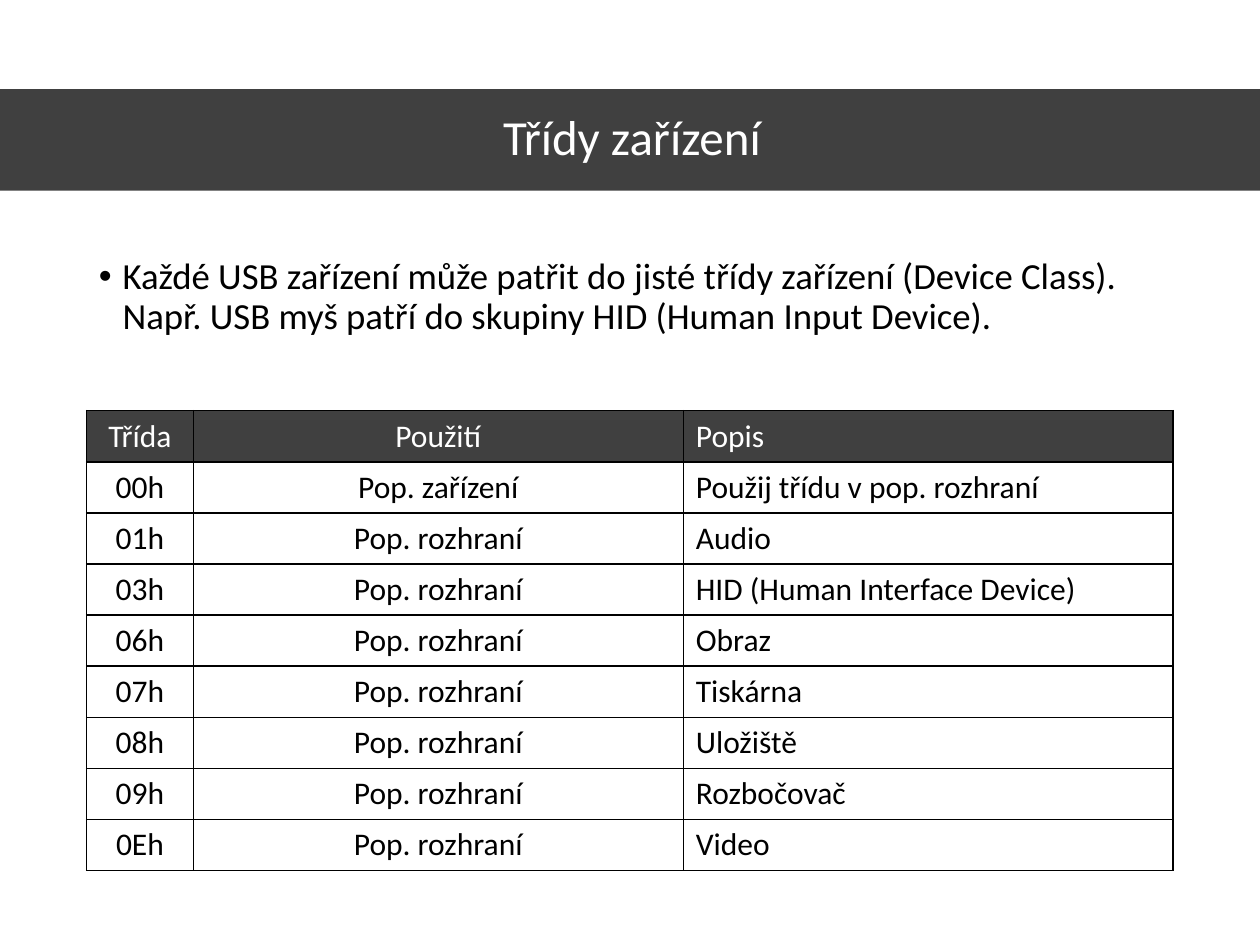
import dataclasses

import lxml.etree
import pptx
import pptx.dml.color
import pptx.enum.shapes
import pptx.enum.text
import pptx.oxml.ns
import pptx.util

Pt = pptx.util.Pt
RGB = pptx.dml.color.RGBColor
Align = pptx.enum.text.PP_ALIGN
Anchor = pptx.enum.text.MSO_ANCHOR
qn = pptx.oxml.ns.qn


@dataclasses.dataclass(frozen=True)
class Theme:
    font: str = "Calibri"
    ink: str = "000000"
    paper: str = "FFFFFF"
    header: str = "404040"
    band_alpha: int = 75
    title_size: float = 28
    body_size: float = 21
    table_size: float = 18
    border: float = 1


THEME = Theme()
TITLE = "Třídy zařízení "
STATEMENT = ("Každé USB zařízení může patřit do jisté třídy zařízení (Device Class). "
             "Např. USB myš patří do skupiny HID (Human Input Device).")
INTERFACE = "Pop. rozhraní"
CLASSES = [
    ("Třída", "Použití", "Popis"),
    ("00h", "Pop. zařízení", "Použij třídu v pop. rozhraní"),
    ("01h", INTERFACE, "Audio"),
    ("03h", INTERFACE, "HID (Human Interface Device)"),
    ("06h", INTERFACE, "Obraz"),
    ("07h", INTERFACE, "Tiskárna"),
    ("08h", INTERFACE, "Uložiště"),
    ("09h", INTERFACE, "Rozbočovač"),
    ("0Eh", INTERFACE, "Video"),
]
COLUMN_WIDTHS = (61, 280, 280)
COLUMN_ALIGNS = (Align.CENTER, Align.CENTER, Align.LEFT)


def write(frame, text, size, color, **paragraph_format):
    """Put one formatted paragraph into a text frame."""
    paragraph = frame.paragraphs[0]
    for name, value in paragraph_format.items():
        setattr(paragraph, name, value)
    run = paragraph.add_run()
    run.text = text
    for name, value in {"name": THEME.font, "size": Pt(size), "bold": False}.items():
        setattr(run.font, name, value)
    run.font.color.rgb = RGB.from_string(color)
    return paragraph


def add_title_band(slide, left, top, width, height):
    band = slide.shapes.add_shape(pptx.enum.shapes.MSO_SHAPE.RECTANGLE,
                                  Pt(left), Pt(top), Pt(width), Pt(height))
    band.shadow.inherit = False
    band.line.fill.background()
    band.fill.solid()
    band.fill.fore_color.rgb = RGB.from_string(THEME.ink)
    color = band.element.spPr.find(qn("a:solidFill")).find(qn("a:srgbClr"))
    lxml.etree.SubElement(color, qn("a:alpha"), val=str(THEME.band_alpha * 1000))

    title = slide.shapes.title
    inset = 33
    box = {"left": left + inset, "top": top - 0.5, "width": 662.5, "height": height}
    for name, value in box.items():
        setattr(title, name, Pt(value))
    title.text_frame.vertical_anchor = Anchor.MIDDLE
    write(title.text_frame, TITLE, THEME.title_size, THEME.paper,
          alignment=Align.CENTER, line_spacing=0.9)
    # The title placeholder must stand in front of the band.
    title.element.getparent().append(title.element)


def add_statement(slide, left, top, width, height):
    frame = slide.shapes.add_textbox(Pt(left), Pt(top), Pt(width), Pt(height)).text_frame
    frame.word_wrap = True
    paragraph = write(frame, STATEMENT, THEME.body_size, THEME.ink,
                      alignment=Align.LEFT, line_spacing=0.9, space_before=Pt(7.5))
    properties = paragraph.runs[0].font._element.getparent().getparent().get_or_add_pPr()
    indent = Pt(13.5)
    properties.set("marL", str(indent))
    properties.set("indent", str(-indent))
    lxml.etree.SubElement(properties, qn("a:buFont"), typeface="Arial")
    lxml.etree.SubElement(properties, qn("a:buChar"), char="•")


def style_cell(cell, fill):
    """Draw the four borders, then the fill, in the order the schema asks for."""
    properties = cell._tc.get_or_add_tcPr()
    for side in ("a:lnL", "a:lnR", "a:lnT", "a:lnB"):
        line = lxml.etree.SubElement(properties, qn(side), w=str(Pt(THEME.border)))
        solid = lxml.etree.SubElement(line, qn("a:solidFill"))
        lxml.etree.SubElement(solid, qn("a:srgbClr"), val=THEME.ink)
    if fill:
        cell.fill.solid()
        cell.fill.fore_color.rgb = RGB.from_string(fill)
    else:
        cell.fill.background()


def add_class_table(slide, left, top, width, height):
    table = slide.shapes.add_table(len(CLASSES), len(COLUMN_WIDTHS),
                                   Pt(left), Pt(top), Pt(width), Pt(height)).table
    table.first_row = table.horz_banding = False
    for column, column_width in zip(table.columns, COLUMN_WIDTHS):
        column.width = Pt(column_width)
    for row_index, texts in enumerate(CLASSES):
        table.rows[row_index].height = Pt(height / len(CLASSES))
        is_header = row_index == 0
        for column_index, text in enumerate(texts):
            cell = table.cell(row_index, column_index)
            cell.vertical_anchor = Anchor.MIDDLE
            write(cell.text_frame, text, THEME.table_size,
                  THEME.paper if is_header else THEME.ink,
                  alignment=COLUMN_ALIGNS[column_index])
            style_cell(cell, THEME.header if is_header else None)


def main():
    deck = pptx.Presentation()
    deck.slide_width, deck.slide_height = Pt(720), Pt(540)
    slide = deck.slides.add_slide(deck.slide_layouts.get_by_name("Title Only"))
    add_title_band(slide, 0, 51, 720, 58)
    add_statement(slide, 49.5, 144, 621, 343)
    add_class_table(slide, 49.5, 234.7, sum(COLUMN_WIDTHS), 262.8)
    deck.save("out.pptx")


if __name__ == "__main__":
    main()
